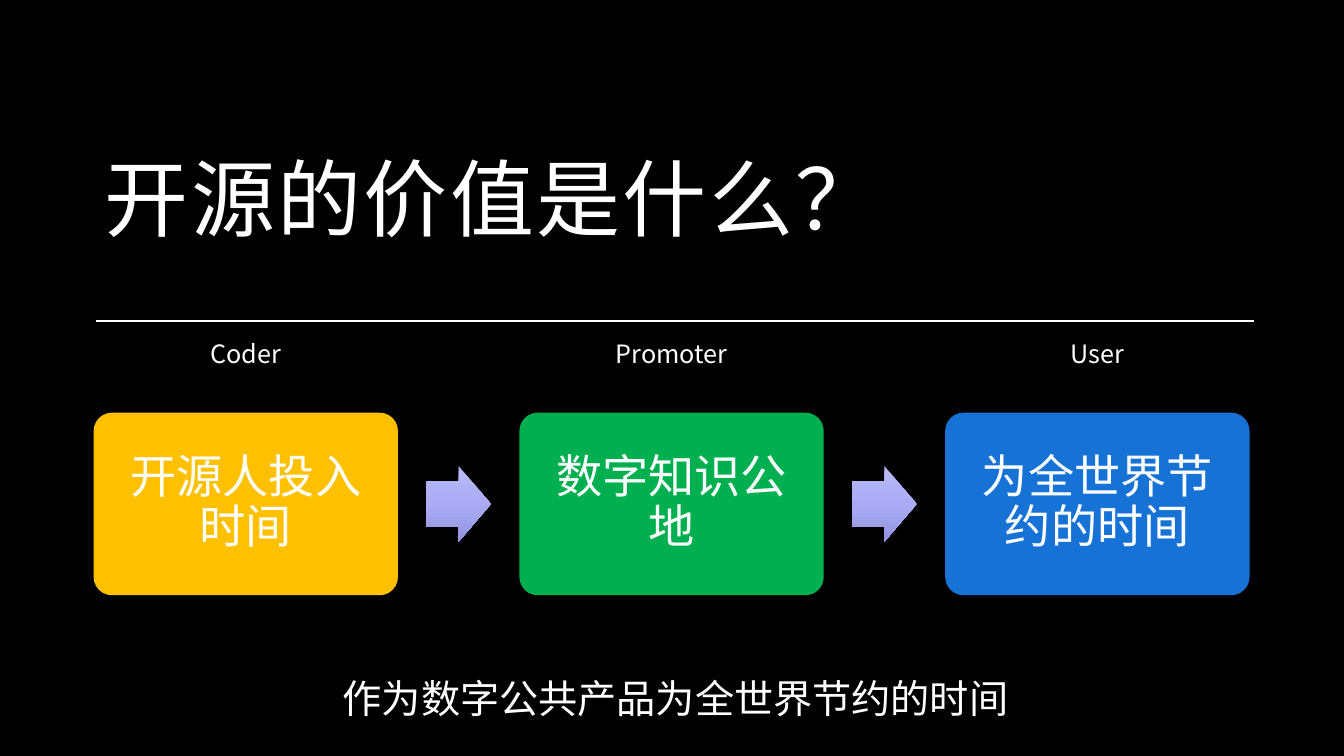
from copy import deepcopy

from lxml.etree import SubElement
from pptx import Presentation
from pptx.dml.color import RGBColor
from pptx.enum.shapes import MSO_CONNECTOR as CONN, MSO_SHAPE as SHAPE
from pptx.enum.text import MSO_ANCHOR as ANCHOR, MSO_AUTO_SIZE as FIT, PP_ALIGN as ALIGN
from pptx.oxml.ns import qn
from pptx.util import Cm, Pt

FONT = "Noto Sans CJK SC"
COLORS = {
    "back": "000000",
    "text": "FFFFFF",
    "coder": "FFC000",
    "promoter": "00B050",
    "user": "1772D5",
}
ARROW_STOPS = ["B9BAF4", "AAABF4", "9294DE"]
STAGES = [
    ("Coder", "开源人投入时间", "coder"),
    ("Promoter", "数字知识公地", "promoter"),
    ("User", "为全世界节约的时间", "user"),
]


def rgb(name):
    return RGBColor.from_string(COLORS[name])


def write(tf, text, size, align=ALIGN.CENTER, anchor=ANCHOR.TOP, margin=None,
          line=None, spacing=None, wrap=True):
    tf.word_wrap = wrap
    tf.auto_size = FIT.NONE
    tf.vertical_anchor = anchor
    if margin is not None:
        tf.margin_left = tf.margin_right = tf.margin_top = tf.margin_bottom = Cm(margin)
    p = tf.paragraphs[0]
    p.alignment = align
    p.line_spacing = line
    r = p.add_run()
    r.text = text
    r.font.size = Pt(size)
    r.font.name = FONT
    r.font.color.rgb = rgb("text")
    rPr = r.font._element
    SubElement(rPr, qn("a:ea"), typeface=FONT)
    if spacing:
        rPr.set("spc", str(round(spacing * 100)))


def add_label(s, text, size, x, y, w, h, **fmt):
    box = s.shapes.add_textbox(Cm(x), Cm(y), Cm(w), Cm(h))
    write(box.text_frame, text, size, **fmt)


def add_heading(s, x, y, w, h):
    title = s.shapes.title
    title.left, title.top, title.width, title.height = Cm(x), Cm(y), Cm(w), Cm(h)
    write(title.text_frame, "开源的价值是什么？", 60, align=ALIGN.LEFT,
          anchor=ANCHOR.BOTTOM, margin=0.3, line=1.05, spacing=1.7)


def add_rule(s, x, y, w):
    rule = s.shapes.add_connector(CONN.STRAIGHT, Cm(x), Cm(y), Cm(x + w), Cm(y))
    rule.line.color.rgb = rgb("text")
    rule.line.width = Pt(1.5)
    SubElement(rule._element.spPr, qn("a:effectLst"))


def add_shape(s, kind, x, y, w, h, *adjustments):
    sp = s.shapes.add_shape(kind, Cm(x), Cm(y), Cm(w), Cm(h))
    sp.shadow.inherit = False
    sp.line.fill.background()
    for i, value in enumerate(adjustments):
        sp.adjustments[i] = value
    return sp


def add_arrow(s, x, y, w, h):
    sp = add_shape(s, SHAPE.RIGHT_ARROW, x, y, w, h, 0.6, 0.5)
    sp.fill.gradient()
    sp.fill.gradient_angle = 270
    gs_list = sp._element.spPr.find(qn("a:gradFill")).find(qn("a:gsLst"))
    gs_list.insert(1, deepcopy(gs_list[0]))
    for i, (stop, color) in enumerate(zip(sp.fill.gradient_stops, ARROW_STOPS)):
        stop.position = i / 2
        stop.color.rgb = RGBColor.from_string(color)


def add_stages(s, x, y, w, h):
    card_w, card_h, arrow_w, arrow_h = 7.67, 4.6, 1.63, 1.9
    step = (w - card_w) / (len(STAGES) - 1)
    card_y = y + h - card_h
    for i, (role, text, color) in enumerate(STAGES):
        card_x = x + i * step
        add_label(s, role, 18, card_x, y, card_w, 1.03)
        card = add_shape(s, SHAPE.ROUNDED_RECTANGLE, card_x, card_y, card_w, card_h, 0.1)
        card.fill.solid()
        card.fill.fore_color.rgb = rgb(color)
        write(card.text_frame, text, 33, anchor=ANCHOR.MIDDLE, margin=0.35, line=0.9)
        if i:
            add_arrow(s, card_x - (step - card_w + arrow_w) / 2,
                      card_y + (card_h - arrow_h) / 2, arrow_w, arrow_h)


def value_slide(prs):
    s = prs.slides.add_slide(prs.slide_layouts[5])
    s.background.fill.solid()
    s.background.fill.fore_color.rgb = rgb("back")
    add_heading(s, 2.34, 1.2, 29.18, 5.33)
    add_rule(s, 2.41, 8.08, 29.18)
    add_stages(s, 2.36, 8.4, 29.13, 6.6)
    add_label(s, "作为数字公共产品为全世界节约的时间", 28, 8.29, 16.87, 17.47, 1.45, wrap=False)


def main():
    prs = Presentation()
    prs.slide_width, prs.slide_height = Cm(33.87), Cm(19.05)
    value_slide(prs)
    prs.save("out.pptx")


if __name__ == "__main__":
    main()
